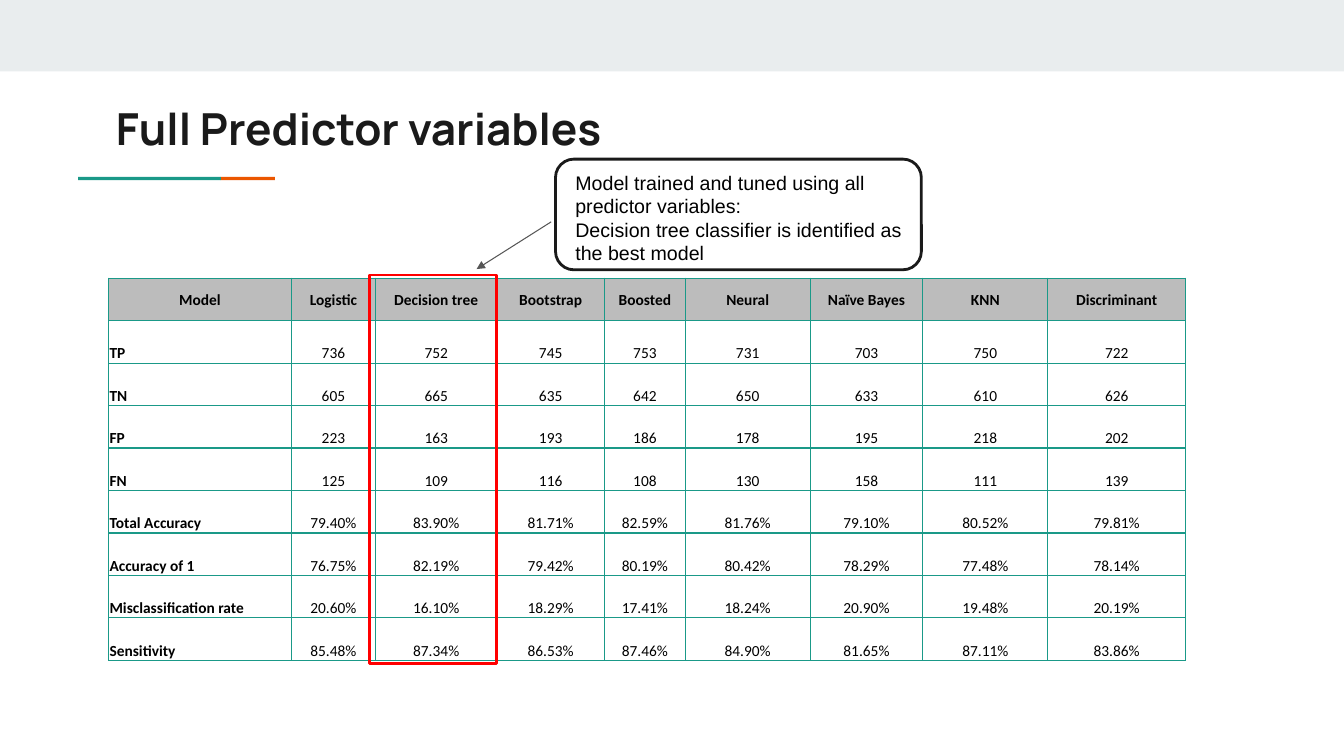
"""Build the slide that compares models trained on the full predictor set."""
from lxml import etree
from pptx import Presentation
from pptx import util as u
from pptx.dml.color import RGBColor
from pptx.enum import shapes, text
from pptx.oxml import ns

TEAL, INK = "1A9988", "1A1A1A"


def paint(form, tint):
    form.solid()
    form.fore_color.rgb = RGBColor.from_string(tint)


def draw(kind, box, fill=None, edge=None):
    shape = slide.shapes.add_shape(kind, *map(u.Cm, box))
    shape.shadow.inherit = False
    if fill:
        paint(shape.fill, fill)
    else:
        shape.fill.background()
    if edge:
        paint(shape.line.fill, edge)
        shape.line.width = u.Pt(2)
    else:
        shape.line.fill.background()
    return shape


deck = Presentation()
deck.slide_width, deck.slide_height = u.Cm(33.87), u.Cm(19.05)
slide = deck.slides.add_slide(deck.slide_layouts[5])

RECT = shapes.MSO_SHAPE.RECTANGLE
draw(RECT, (0, 0, 33.87, 1.8), "E9EDEE")
draw(RECT, (5.56, 4.46, 1.37, 0.08), "EB5600")
draw(RECT, (1.97, 4.46, 3.6, 0.08), TEAL)

title = slide.shapes.title
title.left, title.top, title.width, title.height = map(u.Cm, (2.59, 2.24, 28.47, 1.98))
frame = title.text_frame
frame.text = "Full Predictor variables"
frame.auto_size = text.MSO_AUTO_SIZE.NONE
frame.vertical_anchor = text.MSO_ANCHOR.MIDDLE
frame.margin_left = frame.margin_right = u.Cm(0.33)
frame.margin_top = frame.margin_bottom = u.Cm(0.33)
head = frame.paragraphs[0]
head.alignment = text.PP_ALIGN.LEFT
head.font.name, head.font.size, head.font.bold = "Manrope", u.Pt(31.5), True
paint(head.font.fill, INK)

rows = [
    ("Model", "Logistic", "Decision tree", "Bootstrap", "Boosted", "Neural",
     "Naïve Bayes", "KNN", "Discriminant"),
    ("TP", "736", "752", "745", "753", "731", "703", "750", "722"),
    ("TN", "605", "665", "635", "642", "650", "633", "610", "626"),
    ("FP", "223", "163", "193", "186", "178", "195", "218", "202"),
    ("FN", "125", "109", "116", "108", "130", "158", "111", "139"),
    ("Total Accuracy", "79.40%", "83.90%", "81.71%", "82.59%", "81.76%",
     "79.10%", "80.52%", "79.81%"),
    ("Accuracy of 1", "76.75%", "82.19%", "79.42%", "80.19%", "80.42%",
     "78.29%", "77.48%", "78.14%"),
    ("Misclassification rate", "20.60%", "16.10%", "18.29%", "17.41%", "18.24%",
     "20.90%", "19.48%", "20.19%"),
    ("Sensitivity", "85.48%", "87.34%", "86.53%", "87.46%", "84.90%",
     "81.65%", "87.11%", "83.86%"),
]
widths = (4.6, 2.13, 3.05, 2.72, 2.03, 3.15, 2.84, 3.15, 3.47)
grid = slide.shapes.add_table(len(rows), len(widths), u.Cm(2.74), u.Cm(7.01),
                              u.Cm(sum(widths)), u.Cm(1.07 * len(rows))).table
grid.first_row = grid.horz_banding = False
for col, width in zip(grid.columns, widths):
    col.width = u.Cm(width)

for r, row in enumerate(rows):
    grid.rows[r].height = u.Cm(1.07)
    for c, word in enumerate(row):
        cell = grid.cell(r, c)
        cell.text = word
        cell.margin_left = cell.margin_right = cell.margin_top = u.Cm(0.02)
        cell.margin_bottom = 0
        para = cell.text_frame.paragraphs[0]
        para.font.name, para.font.size = "Calibri", u.Pt(11)
        para.font.bold = r == 0 or c == 0
        paint(para.font.fill, "000000")
        if r == 0 or c > 0:
            para.alignment = text.PP_ALIGN.CENTER
        if r == 0:
            cell.vertical_anchor = text.MSO_ANCHOR.MIDDLE
            paint(cell.fill, "BCBCBC")
        else:
            cell.vertical_anchor = text.MSO_ANCHOR.BOTTOM
            cell.fill.background()
        props = cell._tc.get_or_add_tcPr()
        for i, side in enumerate("LRTB"):
            edge = etree.Element(ns.qn(f"a:ln{side}"), w=str(u.Pt(1)))
            fill = etree.SubElement(edge, ns.qn("a:solidFill"))
            etree.SubElement(fill, ns.qn("a:srgbClr"), val=TEAL)
            props.insert(i, edge)

draw(shapes.MSO_SHAPE.FLOWCHART_PROCESS, (9.32, 6.93, 3.2, 9.78), edge="FF0000")

arrow = slide.shapes.add_connector(shapes.MSO_CONNECTOR.STRAIGHT,
                                   *map(u.Cm, (13.89, 5.59, 12.01, 6.78)))
paint(arrow.line.fill, "565656")
arrow.line.width = u.Pt(0.75)
etree.SubElement(arrow.line._get_or_add_ln(), ns.qn("a:tailEnd"), type="triangle")
etree.SubElement(arrow._element.spPr, ns.qn("a:effectLst"))

draw(shapes.MSO_SHAPE.ROUNDED_RECTANGLE, (14, 4.01, 9.22, 2.79), edge=INK)
note = slide.shapes.add_textbox(*map(u.Cm, (14.25, 4.17, 8.79, 2.64))).text_frame
note.word_wrap = True
note.auto_size = text.MSO_AUTO_SIZE.SHAPE_TO_FIT_TEXT
note.text = ("Model trained and tuned using all predictor variables:\n"
             "Decision tree classifier is identified as the best model")
for para in note.paragraphs:
    para.font.name, para.font.size = "Arial", u.Pt(14)
    paint(para.font.fill, "000000")

deck.save("out.pptx")
